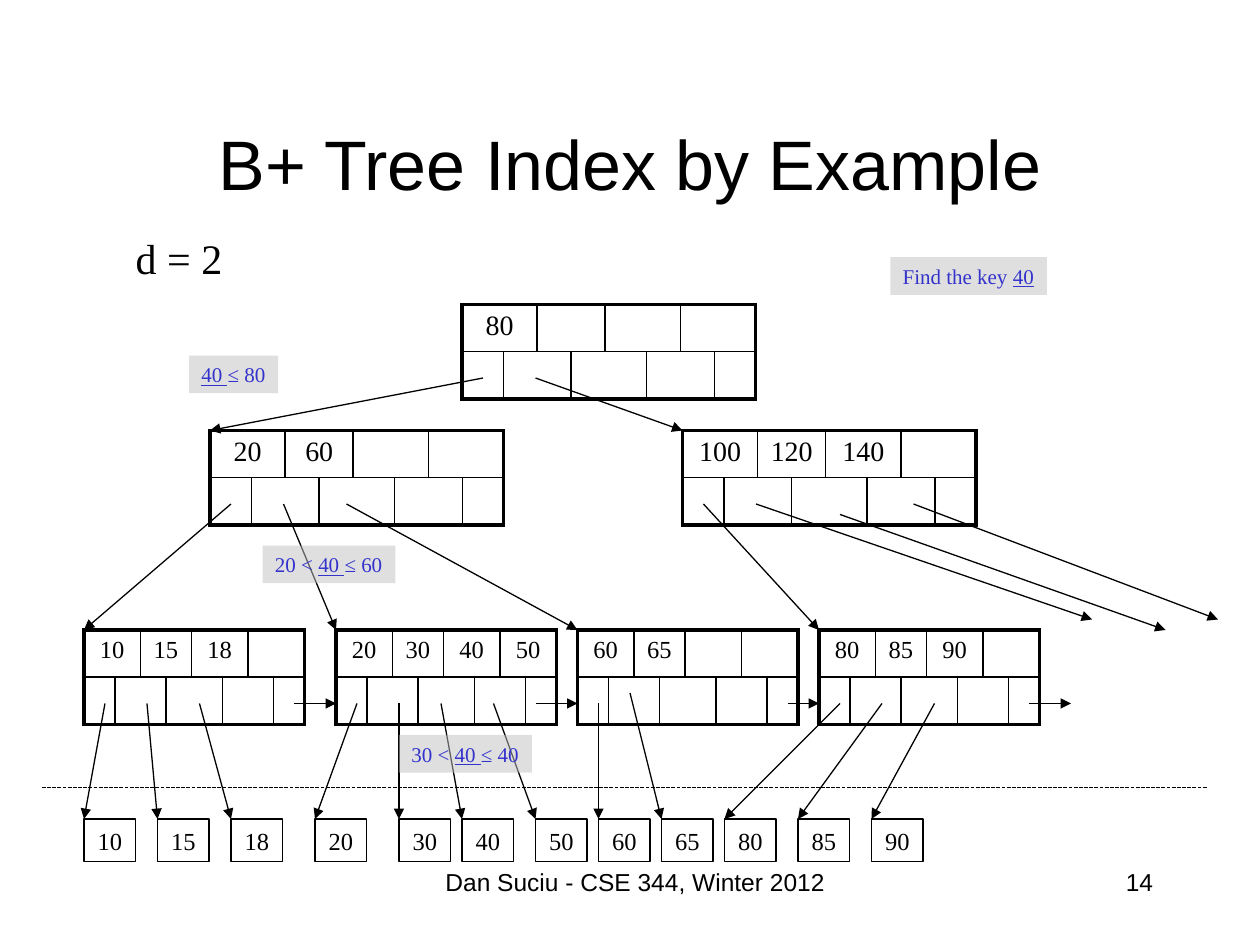
from lxml import etree
from pptx import Presentation
from pptx.dml.color import RGBColor
from pptx.enum import dml, shapes, text
from pptx.oxml import ns
from pptx.util import Pt

BLACK = RGBColor(0x00, 0x00, 0x00)
BLUE = RGBColor(0x33, 0x33, 0xCC)
GREY = RGBColor(0xC0, 0xC0, 0xC0)
SANS, SERIF = "Arial", "Times New Roman"
LEFT, CENTER, RIGHT = text.PP_ALIGN.LEFT, text.PP_ALIGN.CENTER, text.PP_ALIGN.RIGHT

THICK, THIN = 2.25, 1
ROW_HEIGHT = 27
WIDE, NARROW = 23.6, 19.44
COLUMNS = [WIDE, NARROW, NARROW, NARROW, WIDE, NARROW, NARROW, WIDE]
# First and last column of each key cell and of each pointer cell
KEY_SPANS = [(0, 1), (2, 3), (4, 5), (6, 7)]
POINTER_SPANS = [(0, 0), (1, 2), (3, 4), (5, 6), (7, 7)]

INNER_NODES = [  # left, top, keys
    (264, 174, ["80"]),
    (120, 246, ["20", "60"]),
    (390, 246, ["100", "120", "140"]),
]
LEAF_TOP, POINTER_Y = 360, 402
LEAVES = [  # left, keys
    (48, ["10", "15", "18"]),
    (192, ["20", "30", "40", "50"]),
    (330, ["60", "65"]),
    (468, ["80", "85", "90"]),
]
CHILD_ARROWS = [
    (276, 216, 120, 246), (306, 216, 390, 246),
    (132, 288, 48, 360), (162, 288, 192, 360), (198, 288, 330, 360),
    (402, 288, 468, 360), (432, 288, 624, 354),
    (480, 294, 666, 360), (522, 288, 696, 354),
]
SIBLING_ARROWS = [(168, 192), (306, 330), (450, 468), (588, 612)]
RECORD_TOP = 468
RECORDS = [  # key, left of the record, start of its arrow
    ("10", 48, 60, POINTER_Y), ("15", 90, 84, POINTER_Y), ("18", 132, 114, POINTER_Y),
    ("20", 180, 204, POINTER_Y), ("30", 228, 228, POINTER_Y),
    ("40", 264, 252, POINTER_Y), ("50", 306, 282, POINTER_Y),
    ("60", 342, 342, POINTER_Y), ("65", 378, 360, 396),
    ("80", 414, 480, POINTER_Y), ("85", 456, 504, POINTER_Y), ("90", 498, 534, POINTER_Y),
]
STEP_MARGIN_RIGHT = 4  # spare room that keeps each search step on one line
SEARCH_STEPS = [  # left, top, width, text before the key, key, text after it
    (508.75, 147, 89.5, "Find the key ", "40", ""),
    (108, 203.25, 51, "", "40 ", "≤ 80"),
    (150, 311.75, 76, "20 < ", "40 ", "≤ 60"),
    (228, 420, 76, "30 < ", "40 ", "≤ 40"),
]


def points(*lengths):
    return [Pt(length) for length in lengths]


def set_values(target, values):
    for name, value in values.items():
        setattr(target, name, value)


def write(para, words, size, font=SERIF, color=BLACK, underline=False):
    span = para.add_run()
    span.text = words
    set_values(span.font, {"name": font, "size": Pt(size), "underline": underline})
    span.font.color.rgb = color


def add_text(page, frame, words, size, font, align, anchor=text.MSO_ANCHOR.TOP, wrap=True):
    box = page.shapes.add_textbox(*points(*frame))
    set_values(box.text_frame, {"word_wrap": wrap, "vertical_anchor": anchor})
    para = box.text_frame.paragraphs[0]
    para.alignment = align
    write(para, words, size, font)


def add_box(page, frame, align, anchor):
    """Add a plain rectangle that fits its text; return it with its paragraph."""
    box = page.shapes.add_shape(shapes.MSO_SHAPE.RECTANGLE, *points(*frame))
    box.shadow.inherit = False
    set_values(box.text_frame, {
        "word_wrap": False,
        "auto_size": text.MSO_AUTO_SIZE.SHAPE_TO_FIT_TEXT,
        "vertical_anchor": anchor,
    })
    para = box.text_frame.paragraphs[0]
    para.alignment = align
    return box, para


def add_record(page, key, left):
    box, para = add_box(page, (left, RECORD_TOP, 29.5, 24.5), CENTER, text.MSO_ANCHOR.MIDDLE)
    box.fill.background()
    box.line.color.rgb = BLACK
    box.line.width = Pt(0.75)
    write(para, key, 14)


def add_search_step(page, left, top, width, before, key, after):
    box, para = add_box(page, (left, top, width, 21.5), LEFT, text.MSO_ANCHOR.TOP)
    box.text_frame.margin_right = Pt(STEP_MARGIN_RIGHT)
    box.fill.solid()
    box.fill.fore_color.rgb = GREY
    color = box.fill._xPr.find(".//" + ns.qn("a:srgbClr"))
    etree.SubElement(color, ns.qn("a:alpha"), val="50000")
    box.line.fill.background()
    for words, underline in ((before, False), (key, True), (after, False)):
        if words:
            write(para, words, 12, color=BLUE, underline=underline)


def add_line(page, ends, arrow=True):
    line = page.shapes.add_connector(shapes.MSO_CONNECTOR.STRAIGHT, *points(*ends))
    line.line.color.rgb = BLACK
    line.line.width = Pt(0.75)
    if arrow:
        etree.SubElement(line.line._get_or_add_ln(), ns.qn("a:tailEnd"), type="triangle")
    else:
        line.line.dash_style = dml.MSO_LINE.SQUARE_DOT
    etree.SubElement(line._element.spPr, ns.qn("a:effectLst"))


def set_borders(cell, left, right, top, bottom):
    properties = cell._tc.get_or_add_tcPr()
    sides = {"a:lnL": left, "a:lnR": right, "a:lnT": top, "a:lnB": bottom}
    for index, (tag, width) in enumerate(sides.items()):
        border = etree.Element(ns.qn(tag), w=str(Pt(width)))
        fill = etree.SubElement(border, ns.qn("a:solidFill"))
        etree.SubElement(fill, ns.qn("a:srgbClr"), val=str(BLACK))
        properties.insert(index, border)


def add_node(page, left, top, keys, size, scale=1):
    """Add a tree node: a row of keys above a row of pointers."""
    widths = [width * scale for width in COLUMNS]
    frame = points(left, top, sum(widths), 2 * ROW_HEIGHT)
    table = page.shapes.add_table(2, len(widths), *frame).table
    set_values(table, {"first_row": False, "horz_banding": False})
    for column, width in zip(table.columns, widths):
        column.width = Pt(width)
    for row, spans in enumerate((KEY_SPANS, POINTER_SPANS)):
        for first, last in spans:
            for column in {first, last}:
                cell = table.cell(row, column)
                cell.fill.background()
                set_values(cell, {"margin_left": Pt(3.6), "margin_right": Pt(3.6)})
                set_borders(cell,
                            left=THICK if first == 0 else THIN,
                            right=THICK if last == len(widths) - 1 else THIN,
                            top=THICK if row == 0 else THIN,
                            bottom=THICK if row == 1 else THIN)
                if row == 1 or KEY_SPANS.index((first, last)) >= len(keys):
                    set_values(cell, {"margin_top": 0, "margin_bottom": 0})
            if first != last:
                table.cell(row, first).merge(table.cell(row, last))
    for (first, _), key in zip(KEY_SPANS, keys):
        para = table.cell(0, first).text_frame.paragraphs[0]
        para.alignment = CENTER
        write(para, key, size)


def main():
    deck = Presentation()
    deck.slide_width, deck.slide_height = points(720, 540)
    page = deck.slides.add_slide(deck.slide_layouts[6])

    add_text(page, (516, 492, 150, 36), "14", 14, SANS, RIGHT)
    add_text(page, (54, 48, 612, 90), "B+ Tree Index by Example", 40, SANS, CENTER,
             anchor=text.MSO_ANCHOR.MIDDLE)
    for left, top, keys in INNER_NODES:
        add_node(page, left, top, keys, 16)
    for left, keys in LEAVES:
        add_node(page, left, LEAF_TOP, keys, 14, scale=0.75)
    for ends in CHILD_ARROWS:
        add_line(page, ends)
    for start, end in SIBLING_ARROWS:
        add_line(page, (start, POINTER_Y, end, POINTER_Y))
    for key, left, start_x, start_y in RECORDS:
        add_record(page, key, left)
        add_line(page, (start_x, start_y, left, RECORD_TOP))
    add_text(page, (70.5, 129.5, 64, 36), "d = 2", 24, SERIF, LEFT, wrap=False)
    for step in SEARCH_STEPS:
        add_search_step(page, *step)
    add_text(page, (228, 492, 270, 36), "Dan Suciu - CSE 344, Winter 2012", 14, SANS, CENTER)
    add_line(page, (24, 450, 690, 450), arrow=False)
    deck.save("out.pptx")


if __name__ == "__main__":
    main()
